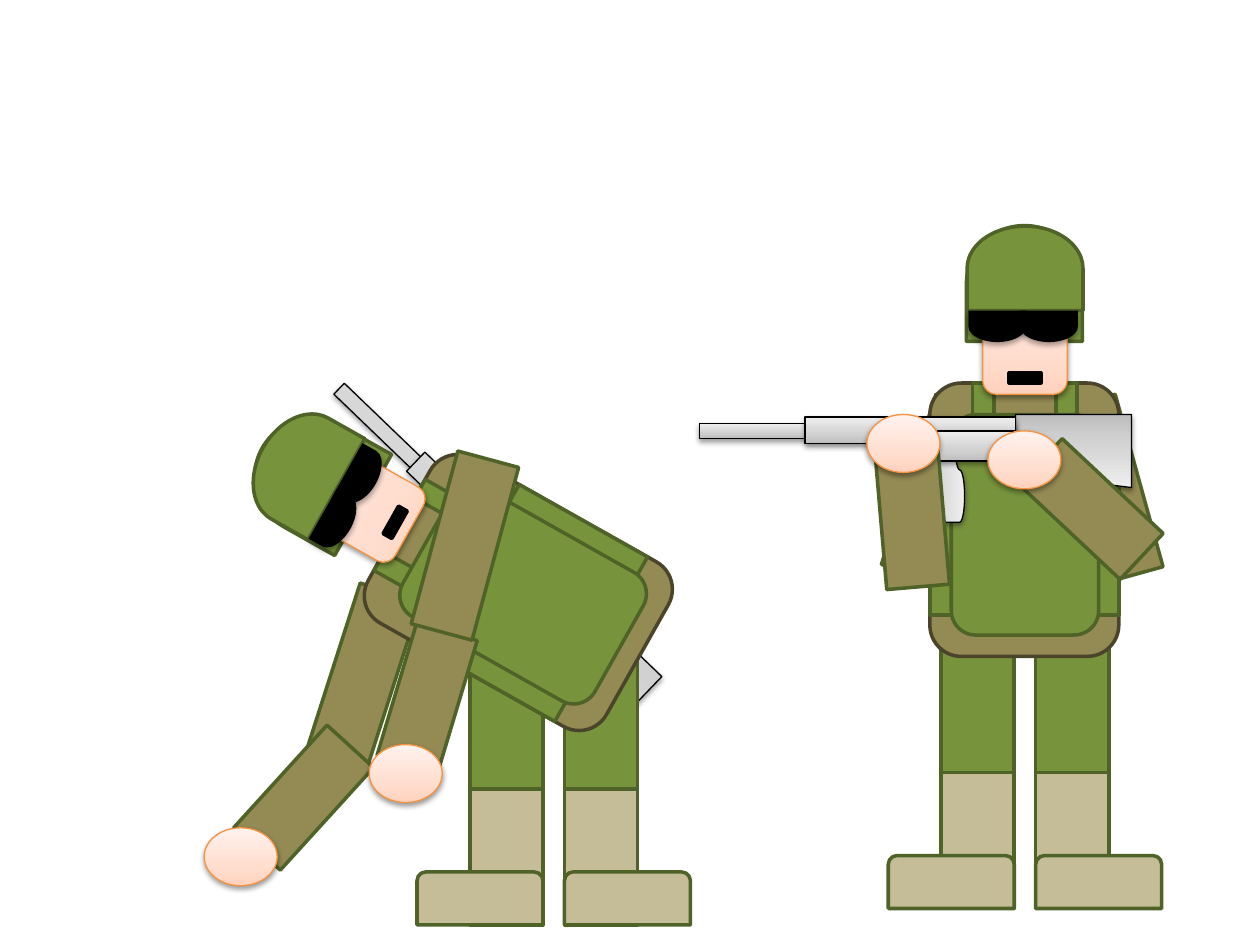
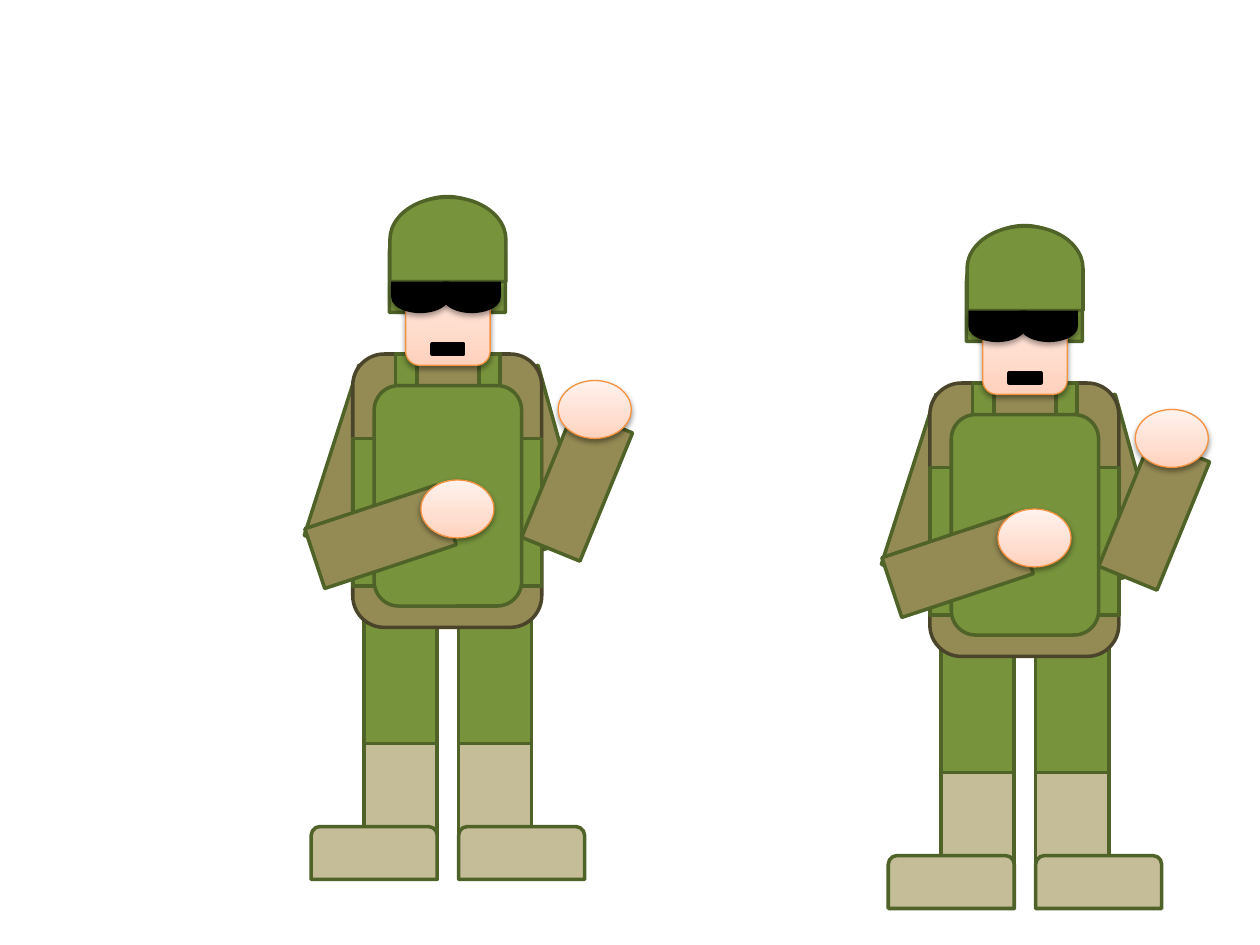
from dataclasses import dataclass
from math import cos, radians, sin
from typing import NamedTuple

from lxml.etree import SubElement
from pptx import Presentation
from pptx.dml.color import RGBColor
from pptx.enum.shapes import MSO_SHAPE as Kind
from pptx.oxml.ns import qn
from pptx.util import Inches, Pt


class Look(NamedTuple):
    """Fill (one colour or three gradient stops), outline and shadow of a part."""
    fill: tuple
    line: str = ""
    weight: float = 2
    shadow: tuple = ()


@dataclass(frozen=True)
class Theme:
    """Looks shared by every soldier."""
    uniform = Look(("77933C",), "4F6228")
    sleeve = Look(("948A54",), "4F6228")
    jacket = Look(("948A54",), "4A452A")
    boot = Look(("C4BD97",), "4F6228")
    skin = Look(("FFD2BD", "FFDED0", "FFF2ED"), "F69240", 0.75, (38, 1.6))
    steel = Look(("BDBDBD", "D1D1D1", "EEEEEE"), "000000", 0.75, (38, 1.6))
    glasses = Look(("000000",), shadow=(35, 1.8))
    mouth = Look(("000000",), "000000")


THEME = Theme()
STOPS = (0, 35, 100)
SHADOW_BLUR = 3.1


class Part(NamedTuple):
    """One preset shape, placed on the upright soldier at the right."""
    kind: Kind
    look: Look
    left: float
    top: float
    width: float
    height: float
    turn: float = 0
    flipped: bool = False


class Pose(NamedTuple):
    """Moves a pivot point to a target and turns all parts around it."""
    pivot: tuple = (0, 0)
    target: tuple = (0, 0)
    turn: float = 0


def upper_arm(left, top, turn):
    """Return an upper arm."""
    return Part(Kind.FLOWCHART_PROCESS, THEME.sleeve, left, top, 0.5, 1.42, turn)


def forearm(left, top, turn):
    """Return a forearm."""
    return Part(Kind.FLOWCHART_PROCESS, THEME.sleeve, left, top, 0.5, 1.1, turn)


def hand(left, top):
    """Return a hand."""
    return Part(Kind.OVAL, THEME.skin, left, top, 0.58, 0.46)


LEG_LEFTS = (7.47, 8.22)
LEGS = [
    *(Part(Kind.RECTANGLE, THEME.uniform, left, 5.04, 0.58, 1.92) for left in LEG_LEFTS),
    *(Part(Kind.RECTANGLE, THEME.boot, left, 6.13, 0.58, 1.08) for left in LEG_LEFTS),
    *(Part(Kind.ROUND_2_SAME_RECTANGLE, THEME.boot, left, 6.79, 1, 0.42)
      for left in (8.22, 7.05)),
]
BODY = [
    Part(Kind.FLOWCHART_DELAY, THEME.uniform, 7.67, 1.79, 0.92, 0.92, 270),
    Part(Kind.ROUNDED_RECTANGLE, THEME.jacket, 7.38, 3.04, 1.5, 2.17),
    Part(Kind.RECTANGLE, THEME.uniform, 7.38, 3.71, 1.5, 1.17),
    *(Part(Kind.RECTANGLE, THEME.uniform, left, 3.04, 0.17, 0.42) for left in (7.72, 8.38)),
    Part(Kind.ROUNDED_RECTANGLE, THEME.uniform, 7.55, 3.29, 1.17, 1.75),
    Part(Kind.ROUNDED_RECTANGLE, THEME.skin, 7.8, 2.13, 0.67, 1),
    Part(Kind.FLOWCHART_DELAY, THEME.uniform, 7.8, 1.67, 0.67, 0.92, 270),
    *(Part(Kind.FLOWCHART_DELAY, THEME.glasses, left, 2.36, 0.25, 0.46, 90)
      for left in (7.79, 8.2)),
    Part(Kind.FLOWCHART_PROCESS, THEME.mouth, 8.01, 2.96, 0.25, 0.08),
]
RIFLE = [
    Part(Kind.FLOWCHART_MANUAL_INPUT, THEME.steel, 8.06, 3.29, 0.92, 0.58, flipped=True),
    Part(Kind.FLOWCHART_PROCESS, THEME.steel, 5.55, 3.36, 2.51, 0.12),
    Part(Kind.FLOWCHART_PUNCHED_TAPE, THEME.steel, 7.05, 3.54, 0.83, 0.38, 90),
    Part(Kind.FLOWCHART_PROCESS, THEME.steel, 6.39, 3.31, 1.67, 0.21),
    Part(Kind.FLOWCHART_PROCESS, THEME.steel, 7.06, 3.42, 1, 0.24),
]
UPPER_ARMS = [upper_arm(7.2, 3.17, 17.8), upper_arm(8.55, 3.17, 344.5)]
AIMING = [forearm(6.99, 3.56, 355.1), forearm(8.41, 3.49, 313.2),
          hand(6.88, 3.29), hand(7.84, 3.42)]
WAVING = [forearm(7.35, 3.94, 71.6), forearm(8.91, 3.53, 22.3),
          hand(7.92, 4.04), hand(9.01, 3.25)]
REACHING = [forearm(2.16, 5.78, 222.3), forearm(3.14, 4.99, 16.7),
            hand(1.62, 6.57), hand(2.93, 5.91), upper_arm(3.44, 3.62, 15.1)]

UPRIGHT = Pose()
LEFT_SOLDIER = Pose(target=(-4.58, -0.23))
BENT_LEGS = Pose(target=(-3.74, 0.13))
BENT_BODY = Pose((8.13, 4.12), (4.11, 4.7), 299.4)
SLUNG_RIFLE = Pose((8.52, 3.58), (4.72, 5.26), 43.9)


def paint_fill(shape, colours):
    """Fill a shape with one colour or a gradient rising from the bottom."""
    if len(colours) == 1:
        shape.fill.solid()
        shape.fill.fore_color.rgb = RGBColor.from_string(colours[0])
        return
    shape.fill.gradient()
    shape.fill.gradient_angle = 90
    stops = shape.element.spPr.find(qn("a:gradFill")).find(qn("a:gsLst"))
    for stop in list(stops):
        stops.remove(stop)
    for position, colour in zip(STOPS, colours):
        stop = SubElement(stops, qn("a:gs"), pos=str(position * 1000))
        SubElement(stop, qn("a:srgbClr"), val=colour)


def paint_line(shape, look):
    """Draw the outline of a shape, or none."""
    if not look.line:
        shape.line.fill.background()
        return
    shape.line.color.rgb = RGBColor.from_string(look.line)
    shape.line.width = Pt(look.weight)


def paint_shadow(shape, shadow):
    """Drop a black shadow straight down, or clear the default one."""
    shape.shadow.inherit = False
    if not shadow:
        return
    opacity, distance = shadow
    effects = shape.element.spPr.find(qn("a:effectLst"))
    outer = SubElement(effects, qn("a:outerShdw"), blurRad=str(Pt(SHADOW_BLUR)),
                       dist=str(Pt(distance)), dir="5400000", rotWithShape="0")
    colour = SubElement(outer, qn("a:srgbClr"), val="000000")
    SubElement(colour, qn("a:alpha"), val=str(opacity * 1000))


def draw_part(shapes, part, pose):
    """Draw one part in the given pose."""
    angle = radians(pose.turn)
    across = part.left + part.width / 2 - pose.pivot[0]
    down = part.top + part.height / 2 - pose.pivot[1]
    left = pose.target[0] + across * cos(angle) - down * sin(angle) - part.width / 2
    top = pose.target[1] + across * sin(angle) + down * cos(angle) - part.height / 2
    shape = shapes.add_shape(part.kind, Inches(left), Inches(top),
                             Inches(part.width), Inches(part.height))
    shape.rotation = (part.turn + pose.turn) % 360
    if part.flipped:
        shape.element.spPr.find(qn("a:xfrm")).set("flipV", "1")
    paint_fill(shape, part.look.fill)
    paint_line(shape, part.look)
    paint_shadow(shape, part.look.shadow)


def draw_parts(page, parts, pose=UPRIGHT):
    """Draw loose parts on a page."""
    for part in parts:
        draw_part(page.shapes, part, pose)


def draw_group(page, parts, pose=UPRIGHT):
    """Draw parts as one group."""
    draw_parts(page.shapes.add_group_shape(), parts, pose)


def draw_upright_soldier(page, gesture, rifle=()):
    """Draw the standing soldier at the right."""
    draw_parts(page, UPPER_ARMS)
    draw_group(page, LEGS)
    draw_group(page, BODY)
    if rifle:
        draw_group(page, rifle)
    draw_parts(page, gesture)


def draw_bent_soldier(page):
    """Draw the soldier who bends down and reaches for the ground."""
    draw_parts(page, [upper_arm(2.63, 4.67, 17.8)])
    draw_group(page, LEGS, BENT_LEGS)
    draw_group(page, BODY, BENT_BODY)
    draw_parts(page, REACHING)


def main():
    """Build both slides and save the deck."""
    deck = Presentation()
    deck.slide_width, deck.slide_height = Inches(10), Inches(7.5)
    blank = deck.slide_layouts[6]

    page = deck.slides.add_slide(blank)
    draw_group(page, RIFLE, SLUNG_RIFLE)
    draw_upright_soldier(page, AIMING, RIFLE)
    draw_bent_soldier(page)

    page = deck.slides.add_slide(blank)
    draw_upright_soldier(page, WAVING)
    draw_group(page, UPPER_ARMS + LEGS + BODY + WAVING, LEFT_SOLDIER)

    deck.save("out.pptx")


main()
